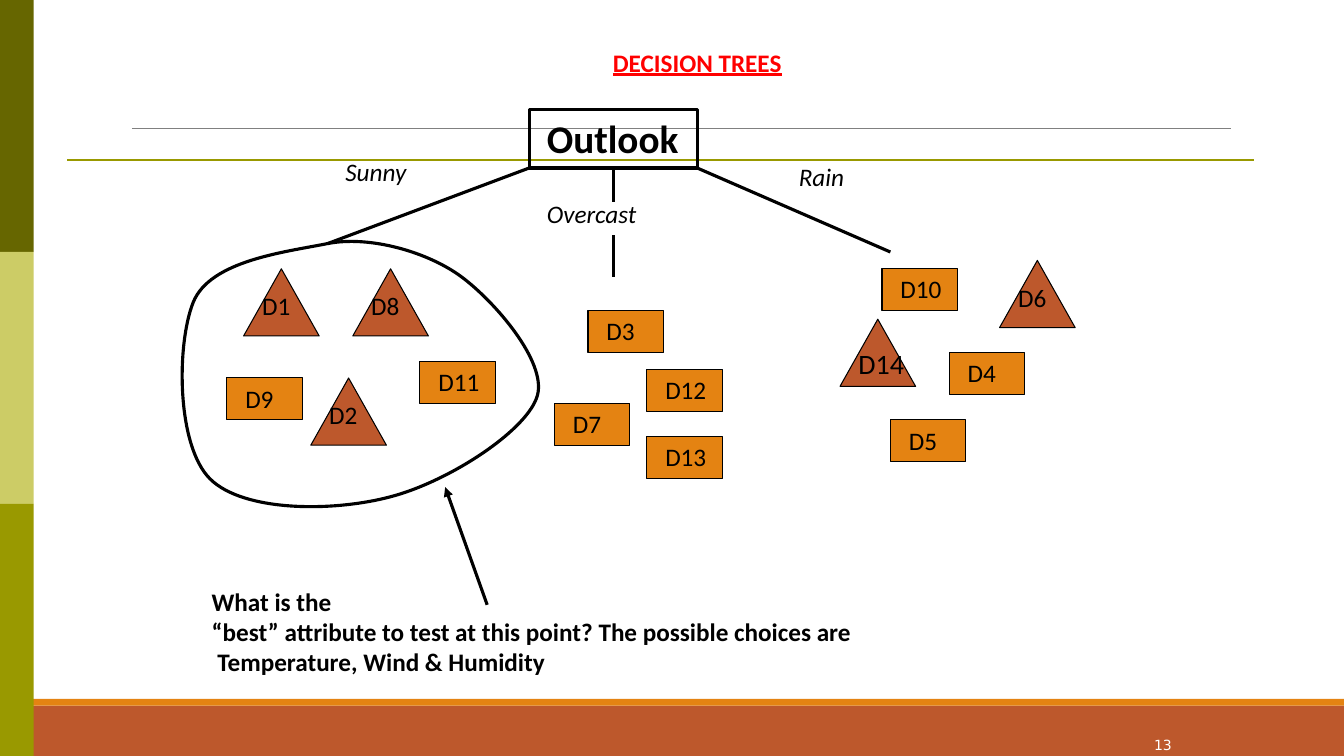
from lxml.etree import SubElement
from pptx import Presentation
from pptx.dml.color import RGBColor
from pptx.enum.shapes import MSO_CONNECTOR, MSO_SHAPE
from pptx.enum.text import MSO_ANCHOR, MSO_AUTO_SIZE, PP_ALIGN
from pptx.oxml.ns import qn
from pptx.util import Inches, Pt

COLUMNS, ROWS = 160, 90
CELL = Inches(1) // 12
BLACK, RUST, ORANGE = "000000", "BD582C", "E48312"
colour = RGBColor.from_string


def add_block(shapes, kind, cells, fill=None, line_width=None):
    """Draw a preset shape at (column, row, columns wide, rows high)."""
    block = shapes.add_shape(kind, *(round(n * CELL) for n in cells))
    block.shadow.inherit = False
    if fill:
        block.fill.solid()
        block.fill.fore_color.rgb = colour(fill)
    else:
        block.fill.background()
    if line_width:
        block.line.color.rgb = colour(BLACK)
        block.line.width = Pt(line_width)
    else:
        block.line.fill.background()
    return block


def add_text(shapes, cells, lines, size=18, ink=BLACK, font="Calibri", align=PP_ALIGN.LEFT,
             wrap=False, bold=False, italic=False, underline=False):
    box = shapes.add_textbox(*(round(n * CELL) for n in cells))
    frame = box.text_frame
    frame.word_wrap = wrap
    frame.auto_size = MSO_AUTO_SIZE.NONE if wrap else MSO_AUTO_SIZE.SHAPE_TO_FIT_TEXT
    frame.margin_left = frame.margin_right = Inches(0.05)
    frame.margin_top = frame.margin_bottom = Inches(0.05)
    for index, line in enumerate(lines):
        para = frame.add_paragraph() if index else frame.paragraphs[0]
        para.alignment = align
        span = para.add_run()
        span.text = line
        span.font.name, span.font.size = font, Pt(size)
        span.font.bold, span.font.italic, span.font.underline = bold, italic, underline
        span.font.color.rgb = colour(ink)
    return box


deck = Presentation()
deck.slide_width, deck.slide_height = COLUMNS * CELL, ROWS * CELL
page = deck.slides.add_slide(deck.slide_layouts[6])
shapes = page.shapes

# Footer bands and side bars
add_block(shapes, MSO_SHAPE.RECTANGLE, (0, 84, COLUMNS, 6), RUST)
add_block(shapes, MSO_SHAPE.RECTANGLE, (0, 83.2, COLUMNS, 0.8), ORANGE)
bar_height = ROWS / 3
for index, fill in enumerate(("666600", "CCCC66", "999900")):
    add_block(shapes, MSO_SHAPE.RECTANGLE, (0, index * bar_height, 4, bar_height), fill)

# Rules, branches and the arrow: start, end, colour, width
lines = {}
for name, start, end, ink, width in (
    ("grey rule", (15.7, 15.25), (146.5, 15.25), "808080", 0.5),
    ("olive rule", (8, 19), (149.3, 19), "999900", 1.5),
    ("rain", (83, 20), (106, 30), BLACK, 2.25),
    ("sunny", (63, 20), (39, 29), BLACK, 2.25),
    ("overcast", (73, 20), (73, 24), BLACK, 2.25),
    ("overcast end", (73, 28), (73, 33), BLACK, 2.25),
    ("question", (58, 72), (53, 58), BLACK, 2.25),
):
    line = shapes.add_connector(MSO_CONNECTOR.STRAIGHT, *(round(n * CELL) for n in start + end))
    line.line.color.rgb = colour(ink)
    line.line.width = Pt(width)
    SubElement(line._element.spPr, qn("a:effectLst"))
    lines[name] = line
SubElement(lines["question"].line._get_or_add_ln(), qn("a:tailEnd"), type="triangle")

# Root of the tree
root = add_block(shapes, MSO_SHAPE.RECTANGLE, (63, 13, 20, 7), line_width=2.25)
lines["overcast"].begin_connect(root, 2)
add_text(shapes, (64.5, 13, 17, 6.8), ["Outlook"], size=28, bold=True)
for label, column, row, width in (
    ("Sunny", 40.5, 18, 8.5), ("Overcast", 64.5, 23, 12), ("Rain", 94.5, 18.6, 6.7),
):
    add_text(shapes, (column, row, width, 4.8), [label], italic=True)

# Samples: each shape is grouped with its label
boxes = (
    ("D13", 77, 52), ("D12", 77, 44), ("D11", 50, 43), ("D10", 105, 32), ("D9", 27, 45),
    ("D4", 113, 42), ("D7", 66, 48), ("D5", 106, 50), ("D3", 70, 37),
)
triangles = (("D14", 100, 38), ("D8", 42, 32), ("D6", 119, 31), ("D2", 37, 45), ("D1", 29, 32))
for samples, kind, height, fill, drop in (
    (boxes, MSO_SHAPE.RECTANGLE, 5, ORANGE, 0),
    (triangles, MSO_SHAPE.ISOSCELES_TRIANGLE, 8, RUST, 2),
):
    for label, column, row in samples:
        group = shapes.add_group_shape().shapes
        add_block(group, kind, (column, row, 9, height), fill, 0.75)
        if label == "D14":
            size, width, label_drop = 20, 6.7, 2.7
        else:
            size, width, label_drop = 18, 4.6 if len(label) == 2 else 6.1, drop
        add_text(group, (column + 1.6, row + label_drop, width, 4.8), [label], size=size)

# Loop around the sunny samples: a start point, then three points per curve
loop_points = (
    (39, 29),
    (33.7, 29.5), (25.3, 31.3), (23, 36),
    (20.7, 40.7), (21, 53.2), (25, 57),
    (29, 60.8), (40.5, 60.7), (47, 59),
    (53.5, 57.3), (62.7, 51.3), (64, 47),
    (65.3, 42.7), (59.2, 36.1), (55, 33),
    (50.8, 29.9), (44.3, 28.5), (39, 29),
)
builder = shapes.build_freeform(*loop_points[0], scale=CELL)
builder.add_line_segments(loop_points[1:], close=True)
loop = builder.convert_to_shape()
loop.shadow.inherit = False
loop.fill.background()
loop.line.color.rgb = colour(BLACK)
loop.line.width = Pt(2.25)
outline = loop._element.find(".//" + qn("a:path"))
segments = outline.findall(qn("a:lnTo"))
for first in range(0, len(loop_points) - 1, 3):
    curve = SubElement(outline, qn("a:cubicBezTo"))
    for segment in segments[first:first + 3]:
        curve.append(segment[0])
        outline.remove(segment)
outline.append(outline.find(qn("a:close")))

# Question, heading and page number
add_text(shapes, (24.6, 69.2, 78, 12.1), [
    "What is the",
    "“best” attribute to test at this point? The possible choices are",
    " Temperature, Wind & Humidity",
], bold=True)
add_text(shapes, (30.6, 5, 104.8, 4.8), ["DECISION TREES"], ink="FF0000",
         align=PP_ALIGN.CENTER, wrap=True, bold=True, underline=True)
number = add_text(shapes, (136.1, 86.8, 4, 3.8), ["13"], size=10, ink="FFFFFF",
                  font="DejaVu Sans", align=PP_ALIGN.RIGHT, wrap=True)
number.text_frame.vertical_anchor = MSO_ANCHOR.MIDDLE

deck.save("out.pptx")
